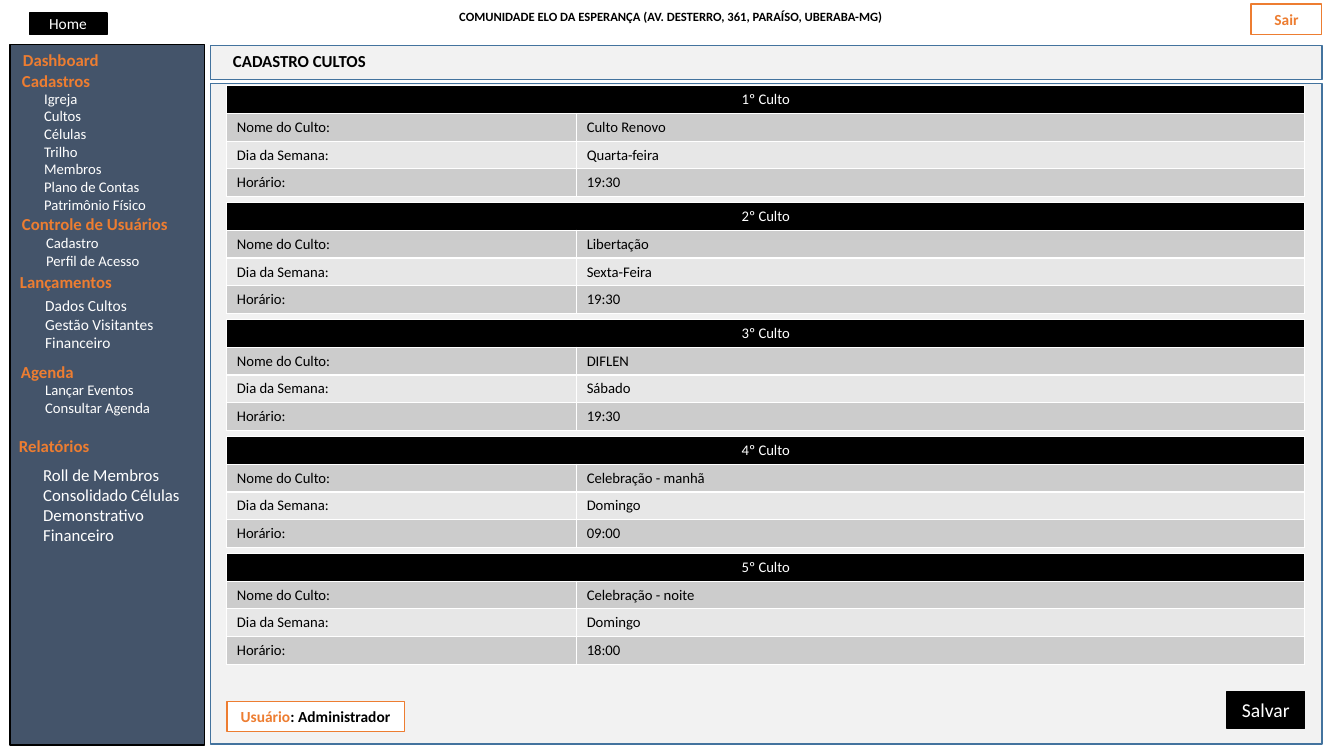
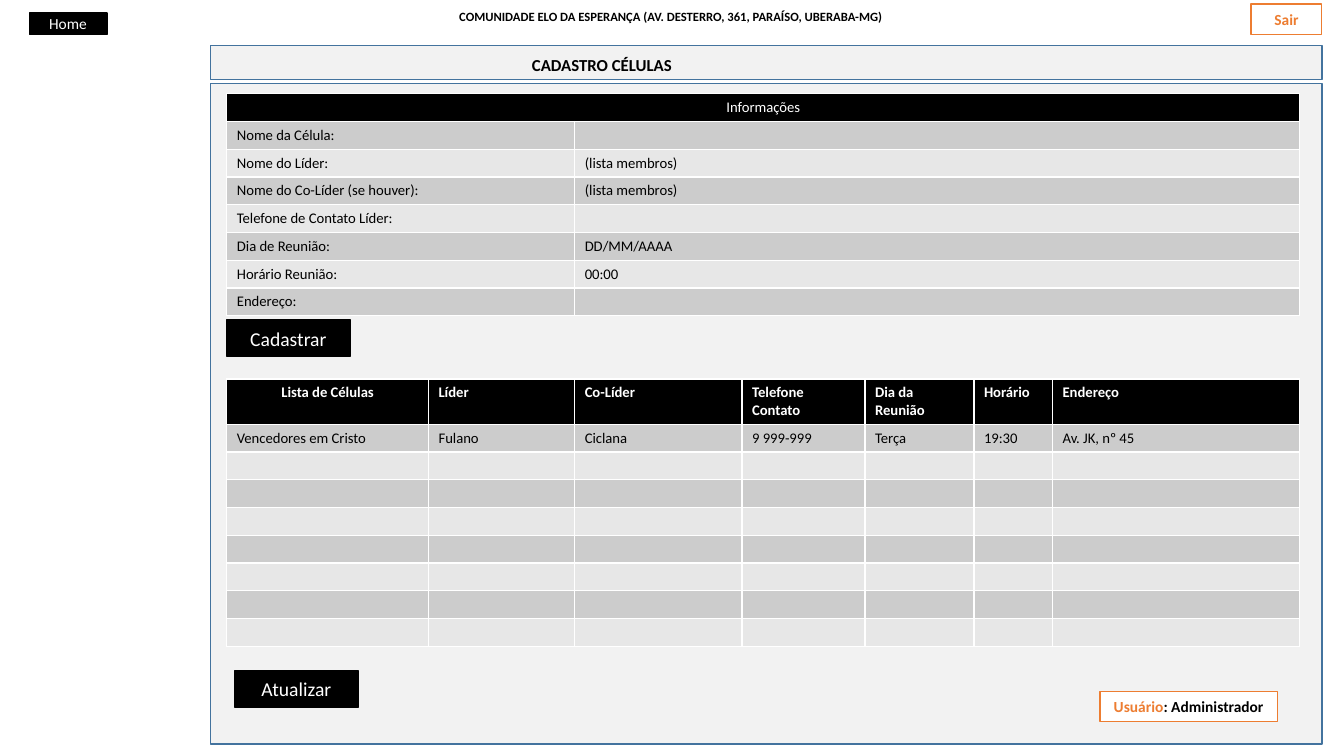
from pptx import Presentation
from pptx.dml.color import RGBColor
from pptx.enum.shapes import MSO_SHAPE
from pptx.enum.text import MSO_ANCHOR, PP_ALIGN
from pptx.util import Pt

PX = 9144
FONT = "Calibri"
BLACK, WHITE, ORANGE = "000000", "FFFFFF", "ED7D31"
SLATE, PANEL, PANEL_LINE = "44546A", "F2F2F2", "43739E"
BANDS = "CCCCCC", "E7E7E7"
TABLE_SIZE, ROW_HEIGHT = 10.5, 27

CHURCH = "COMUNIDADE ELO DA ESPERANÇA (AV. DESTERRO, 361, PARAÍSO, UBERABA-MG) "
USER = [("Usuário", ORANGE), (": Administrador", BLACK)]

MENU_HEADINGS = [
    ("Dashboard", 13, 44),
    ("Cadastros", 12, 65),
    ("Controle de Usuários", 12, 207),
    ("Lançamentos", 10, 265),
    ("Agenda", 11, 354),
    ("Relatórios", 9, 427),
]
MENU_ITEMS = [
    ("Igreja\nCultos\nCélulas\nTrilho\nMembros\nPlano de Contas\nPatrimônio Físico",
     (34, 84, 164, 134), 10.5),
    ("Cadastro\nPerfil de Acesso", (36, 227, 164, 47), 10.5),
    ("Dados Cultos\nGestão Visitantes\nFinanceiro", (35, 289, 164, 66), 11),
    ("Lançar Eventos\nConsultar Agenda", (35, 373, 164, 47), 10.5),
    ("Roll de Membros\nConsolidado Células\nDemonstrativo Financeiro",
     (33, 456, 182, 111), 12),
]

SERVICE_COLUMNS = [347, 722]
SERVICE_FIELDS = ["Nome do Culto:", "Dia da Semana:", "Horário:"]
SERVICES = [
    ("Culto Renovo", "Quarta-feira", "19:30"),
    ("Libertação", "Sexta-Feira", "19:30"),
    ("DIFLEN", "Sábado", "19:30"),
    ("Celebração - manhã", "Domingo", "09:00"),
    ("Celebração - noite", "Domingo", "18:00"),
]
SERVICE_TOP, SERVICE_PITCH = 85, 116

CELL_FORM_COLUMNS = [345, 719]
CELL_FORM = [
    ("Informações", ""),
    ("Nome da Célula:", ""),
    ("Nome do Líder:", "(lista membros)"),
    ("Nome do Co-Líder (se houver):", "(lista membros)"),
    ("Telefone de Contato Líder:", ""),
    ("Dia de Reunião:", "DD/MM/AAAA"),
    ("Horário Reunião:", "00:00"),
    ("Endereço:", ""),
]
CELL_LIST_COLUMNS = [200, 145, 166, 122, 108, 78, 245]
CELL_LIST = [
    ("Lista de Células", "Líder", "Co-Líder", "Telefone Contato",
     "Dia da Reunião", "Horário", "Endereço"),
    ("Vencedores em Cristo", "Fulano", "Ciclana", "9 999-999",
     "Terça", "19:30", "Av. JK, nº 45"),
] + [("",) * 7] * 7


def rgb(value):
    return RGBColor.from_string(value)


def write(frame, text, size=12, color=BLACK, bold=False, align=PP_ALIGN.LEFT):
    frame.word_wrap = True
    lines = [[(line, color)] for line in text.split("\n")] if isinstance(text, str) else [text]
    for index, line in enumerate(lines):
        paragraph = frame.add_paragraph() if index else frame.paragraphs[0]
        paragraph.alignment = align
        for words, tint in line:
            if not words:
                paragraph._p.get_or_add_endParaRPr().set("sz", str(int(size * 100)))
                continue
            run = paragraph.add_run()
            run.text = words
            run.font.name = FONT
            run.font.size = Pt(size)
            run.font.bold = bold
            run.font.color.rgb = rgb(tint)


def label(slide, box, text, **style):
    textbox = slide.shapes.add_textbox(*(n * PX for n in box))
    write(textbox.text_frame, text, **style)


def block(slide, box, fill, line, text="", **style):
    shape = slide.shapes.add_shape(MSO_SHAPE.RECTANGLE, *(n * PX for n in box))
    shape.shadow.inherit = False
    shape.fill.solid()
    shape.fill.fore_color.rgb = rgb(fill)
    shape.line.color.rgb = rgb(line)
    shape.line.width = Pt(1)
    if text:
        shape.text_frame.vertical_anchor = MSO_ANCHOR.MIDDLE
        write(shape.text_frame, text, align=PP_ALIGN.CENTER, **style)


def black_button(slide, box, text, size=14):
    block(slide, box, BLACK, BLACK, text, size=size, color=WHITE)


def outlined_button(slide, box, text):
    block(slide, box, WHITE, ORANGE, text, size=11, color=ORANGE, bold=True)


def grid(slide, left, top, columns, rows, span_header=False):
    table = slide.shapes.add_table(
        len(rows), len(columns), left * PX, top * PX,
        sum(columns) * PX, len(rows) * ROW_HEIGHT * PX).table
    for column, width in zip(table.columns, columns):
        column.width = width * PX
    for r, row in enumerate(rows):
        header = r == 0
        for c, text in enumerate(row):
            cell = table.cell(r, c)
            cell.fill.solid()
            cell.fill.fore_color.rgb = rgb(BLACK if header else BANDS[(r - 1) % 2])
            write(cell.text_frame, text, size=TABLE_SIZE,
                  color=WHITE if header else BLACK,
                  bold=header and not span_header,
                  align=PP_ALIGN.CENTER if header and c == 0 else PP_ALIGN.LEFT)
    if span_header:
        table.cell(0, 0).merge(table.cell(0, len(columns) - 1))


def page(deck, title, title_left, title_top, user_left, user_top):
    slide = deck.slides.add_slide(deck.slide_layouts[6])
    for top, height in ((45, 34), (83, 655)):
        block(slide, (209, top, 1102, height), PANEL, PANEL_LINE)
    label(slide, (0, 4, 1333, 25), CHURCH, size=9, bold=True, align=PP_ALIGN.CENTER)
    label(slide, (title_left, title_top, 184, 30), title, bold=True, align=PP_ALIGN.CENTER)
    outlined_button(slide, (1241, 4, 70, 30), "Sair")
    black_button(slide, (29, 13, 77, 21), "Home", size=11)
    outlined_button(slide, (user_left, user_top, 176, 30), USER)
    return slide


def menu(slide):
    block(slide, (10, 44, 193, 695), SLATE, BLACK)
    for text, left, top in MENU_HEADINGS:
        label(slide, (left, top, 190, 30), text, color=ORANGE, bold=True)
    for text, box, size in MENU_ITEMS:
        label(slide, box, text, size=size, color=WHITE)


def main():
    deck = Presentation()
    deck.slide_width, deck.slide_height = 1333 * PX, 750 * PX

    services = page(deck, "CADASTRO CULTOS", 205, 45, 225, 696)
    menu(services)
    for index, values in enumerate(SERVICES):
        rows = [(f"{index + 1}º Culto", "")] + list(zip(SERVICE_FIELDS, values))
        grid(services, 225, SERVICE_TOP + index * SERVICE_PITCH,
             SERVICE_COLUMNS, rows, span_header=True)
    black_button(services, (1217, 686, 77, 37), "Salvar")

    cells = page(deck, "CADASTRO CÉLULAS", 505, 49, 1091, 686)
    grid(cells, 225, 93, CELL_FORM_COLUMNS, CELL_FORM, span_header=True)
    black_button(cells, (225, 317, 122, 37), "Cadastrar")
    grid(cells, 225, 376, CELL_LIST_COLUMNS, CELL_LIST)
    black_button(cells, (233, 665, 122, 37), "Atualizar")

    deck.save("out.pptx")


if __name__ == "__main__":
    main()
